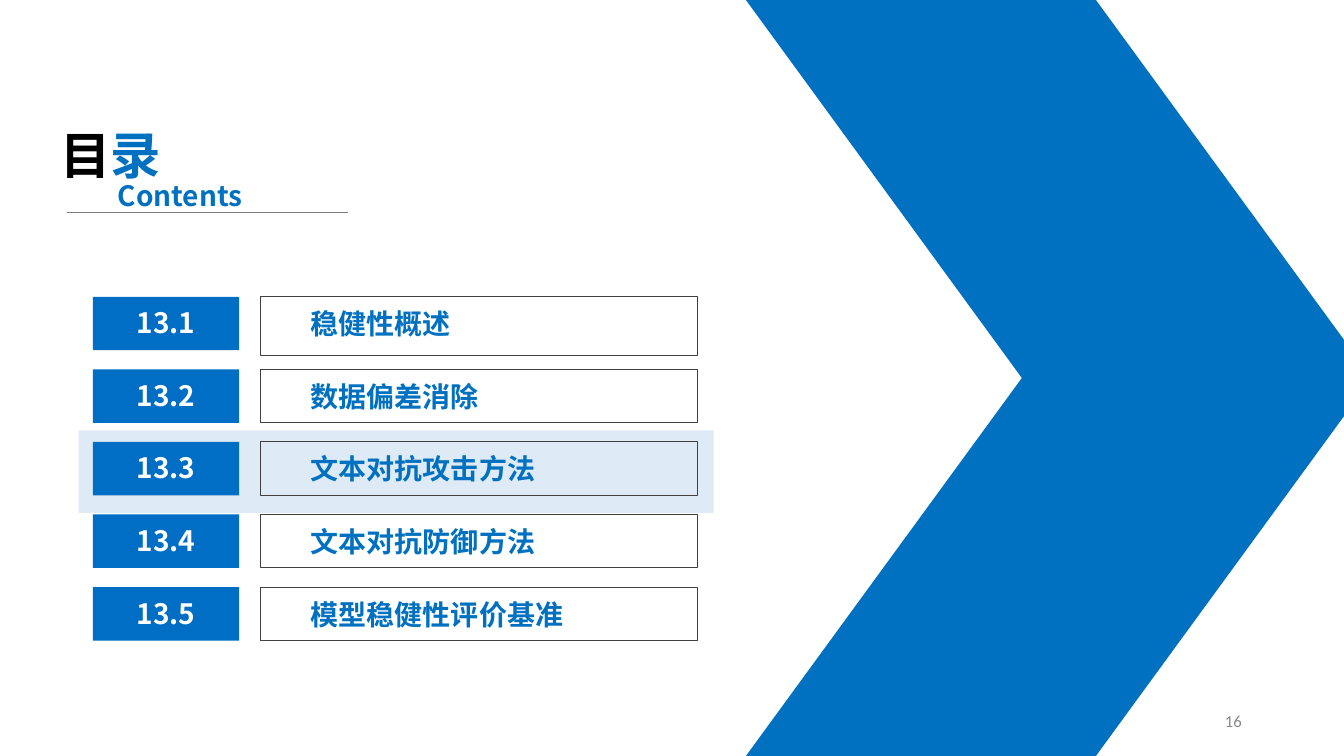
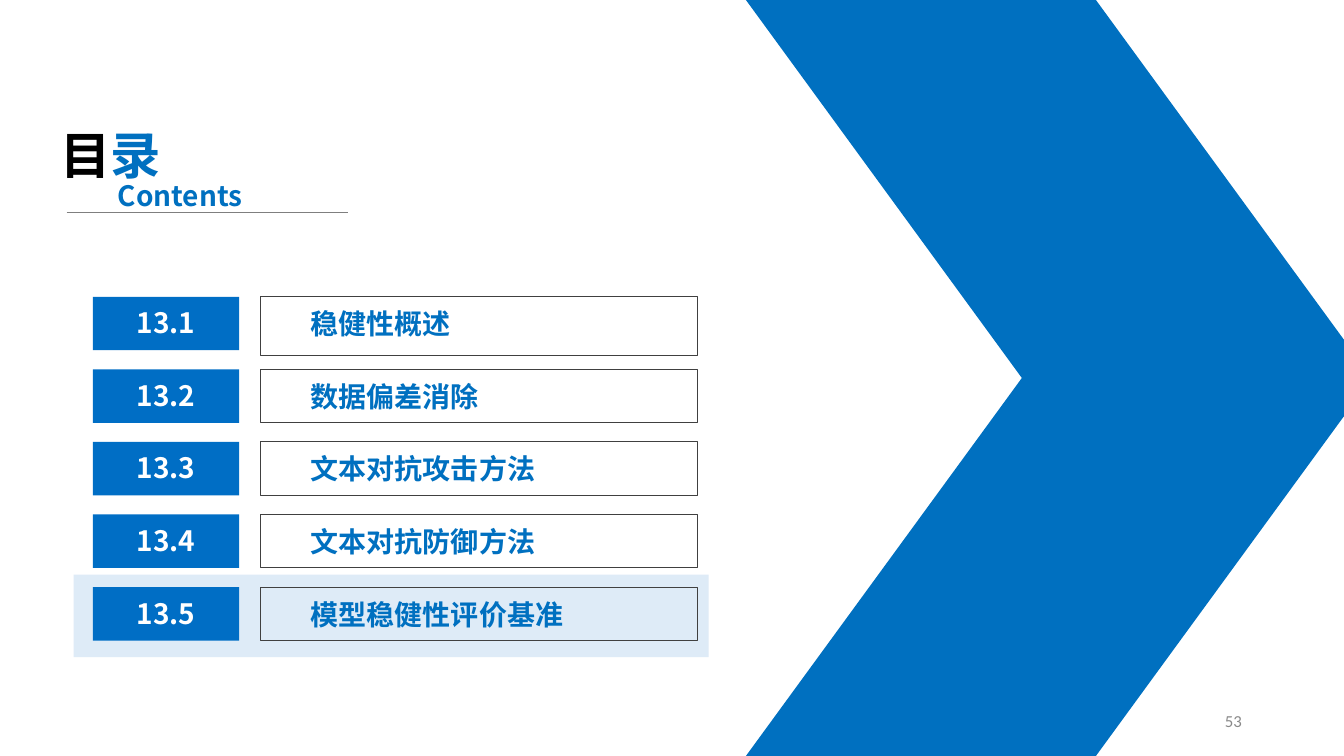
import pptx
import pptx.util
import pptx.dml.color
import pptx.enum.shapes
import pptx.enum.text
import pptx.oxml.ns
from lxml import etree

Pt = pptx.util.Pt
RGBColor = pptx.dml.color.RGBColor
SHAPE = pptx.enum.shapes.MSO_SHAPE
ANCHOR = pptx.enum.text.MSO_ANCHOR
ALIGN = pptx.enum.text.PP_ALIGN
qn = pptx.oxml.ns.qn

BLUE = RGBColor(0x00, 0x70, 0xC0)
NUMBER_BLUE = RGBColor(0x00, 0x6E, 0xC5)
PALE_BLUE = RGBColor(0xDE, 0xEB, 0xF7)
OUTLINE = RGBColor(0x40, 0x40, 0x40)
RULE_GREY = RGBColor(0x7F, 0x7F, 0x7F)
PAGE_GREY = RGBColor(0x89, 0x89, 0x89)
BLACK = RGBColor(0x00, 0x00, 0x00)
WHITE = RGBColor(0xFF, 0xFF, 0xFF)

HEADING_FONT = "Noto Sans CJK SC"
PAGE_FONT = "Calibri"

PAGE_WIDTH, PAGE_HEIGHT = 960, 540
ROW_HEIGHT, ROW_PITCH = 38.2, 51.84
FIRST_LABEL_HEIGHT = 41.8
NUMBER_WIDTH, LABEL_OFFSET, LABEL_WIDTH = 104.4, 119.6, 312.5

SECTIONS = [
    ("13.1", "稳健性概述"),
    ("13.2", "数据偏差消除"),
    ("13.3", "文本对抗攻击方法"),
    ("13.4", "文本对抗防御方法"),
    ("13.5", "模型稳健性评价基准"),
]
# Page number, then left and top of the band behind the current section
CONTENTS_PAGES = [(16, 56.2, 307.4), (53, 52.6, 410.4)]


def add_span(para, text, size, color, bold=True, font=HEADING_FONT):
    span = para.add_run()
    span.text = text
    span.font.size = Pt(size)
    span.font.bold = bold
    span.font.color.rgb = color
    span.font.name = font
    east_asian = etree.SubElement(span.font._element, qn("a:ea"))
    east_asian.set("typeface", font)


def set_frame(box, anchor=ANCHOR.TOP, align=ALIGN.LEFT, left=7.2, top=3.6):
    """Prepare the text frame and return its first paragraph."""
    frame = box.text_frame
    frame.auto_size = pptx.enum.text.MSO_AUTO_SIZE.NONE
    frame.word_wrap = True
    frame.vertical_anchor = anchor
    frame.margin_left, frame.margin_right = Pt(left), Pt(7.2)
    frame.margin_top, frame.margin_bottom = Pt(top), Pt(0)
    para = frame.paragraphs[0]
    para.alignment = align
    return para


def add_box(page, kind, left, top, width, height, fill=None, line=None):
    box = page.shapes.add_shape(kind, Pt(left), Pt(top), Pt(width), Pt(height))
    box.shadow.inherit = False
    if fill is None:
        box.fill.background()
    else:
        box.fill.solid()
        box.fill.fore_color.rgb = fill
    if line is None:
        box.line.fill.background()
    else:
        box.line.color.rgb = line
        box.line.width = Pt(0.75)
    return box


def add_chevron(page, left, top, width, height):
    """Two mirrored parallelograms that form one large arrow."""
    half = height / 2
    for index in range(2):
        arm = add_box(page, SHAPE.PARALLELOGRAM, left, top + index * half,
                      width, half, fill=BLUE)
        arm.adjustments[0] = 0.73
        if index == 0:
            arm._element.spPr.xfrm.set("flipV", "1")


def add_heading(page, left, top):
    title = page.shapes.title
    title.left, title.top = Pt(left), Pt(top)
    title.width, title.height = Pt(113), Pt(51)
    para = set_frame(title)
    add_span(para, "目", 36, BLACK)
    add_span(para, "录", 36, BLUE)

    subtitle = page.shapes.add_textbox(Pt(left + 41), Pt(top + 38.9), Pt(113), Pt(31.7))
    add_span(set_frame(subtitle), "Contents", 20, BLUE)

    rule_left, rule_top = left + 11.6, top + 66.9
    rule = page.shapes.add_connector(
        pptx.enum.shapes.MSO_CONNECTOR.STRAIGHT,
        Pt(rule_left), Pt(rule_top), Pt(rule_left + 200.9), Pt(rule_top))
    rule.line.color.rgb = RULE_GREY
    rule.line.width = Pt(0.5)
    etree.SubElement(rule._element.spPr, qn("a:effectLst"))


def add_section_list(page, left, top):
    for index, (number, name) in enumerate(SECTIONS):
        row_top = top + index * ROW_PITCH
        label_height = ROW_HEIGHT if index else FIRST_LABEL_HEIGHT
        label_box = add_box(page, SHAPE.RECTANGLE, left + LABEL_OFFSET, row_top,
                            LABEL_WIDTH, label_height, line=OUTLINE)
        add_span(set_frame(label_box, left=36, top=7.2), name, 20, BLUE)
        number_box = add_box(page, SHAPE.RECTANGLE, left, row_top,
                             NUMBER_WIDTH, ROW_HEIGHT, fill=NUMBER_BLUE)
        para = set_frame(number_box, align=ALIGN.CENTER, top=6.5)
        add_span(para, number, 20, WHITE)


def add_page_number(page, number, left, top):
    box = page.shapes.add_textbox(Pt(left), Pt(top), Pt(216), Pt(28.8))
    para = set_frame(box, ANCHOR.MIDDLE, ALIGN.RIGHT)
    box.text_frame.margin_bottom = Pt(3.6)
    add_span(para, str(number), 12, PAGE_GREY, bold=False, font=PAGE_FONT)


def add_contents_page(deck, number, band_left, band_top):
    page = deck.slides.add_slide(deck.slide_layouts[5])
    add_box(page, SHAPE.RECTANGLE, band_left, band_top, 453.6, 59, fill=PALE_BLUE)
    add_chevron(page, 532.8, 0, 447.1, PAGE_HEIGHT)
    add_heading(page, 36, 85)
    add_section_list(page, 66.4, 212)
    add_page_number(page, number, 678.2, 500.5)


def main():
    deck = pptx.Presentation()
    deck.slide_width, deck.slide_height = Pt(PAGE_WIDTH), Pt(PAGE_HEIGHT)
    for contents_page in CONTENTS_PAGES:
        add_contents_page(deck, *contents_page)
    deck.save("out.pptx")


if __name__ == "__main__":
    main()
